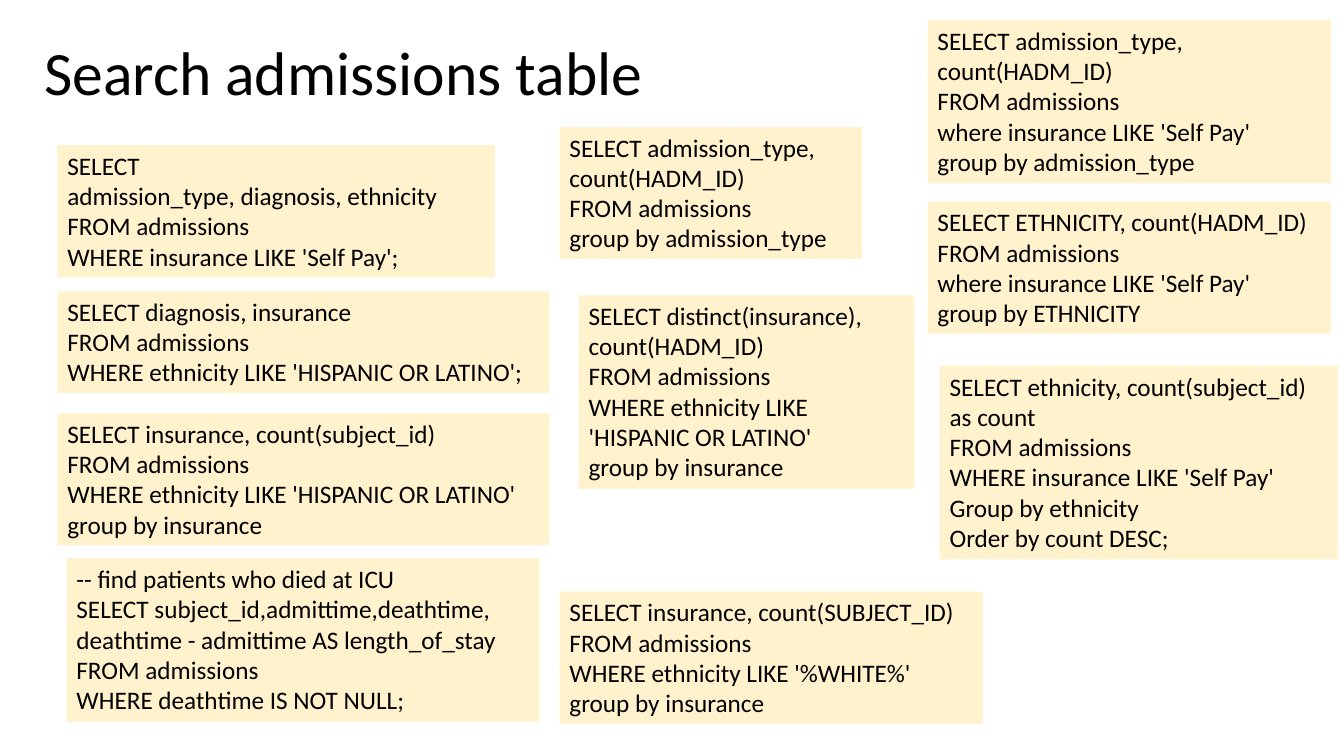
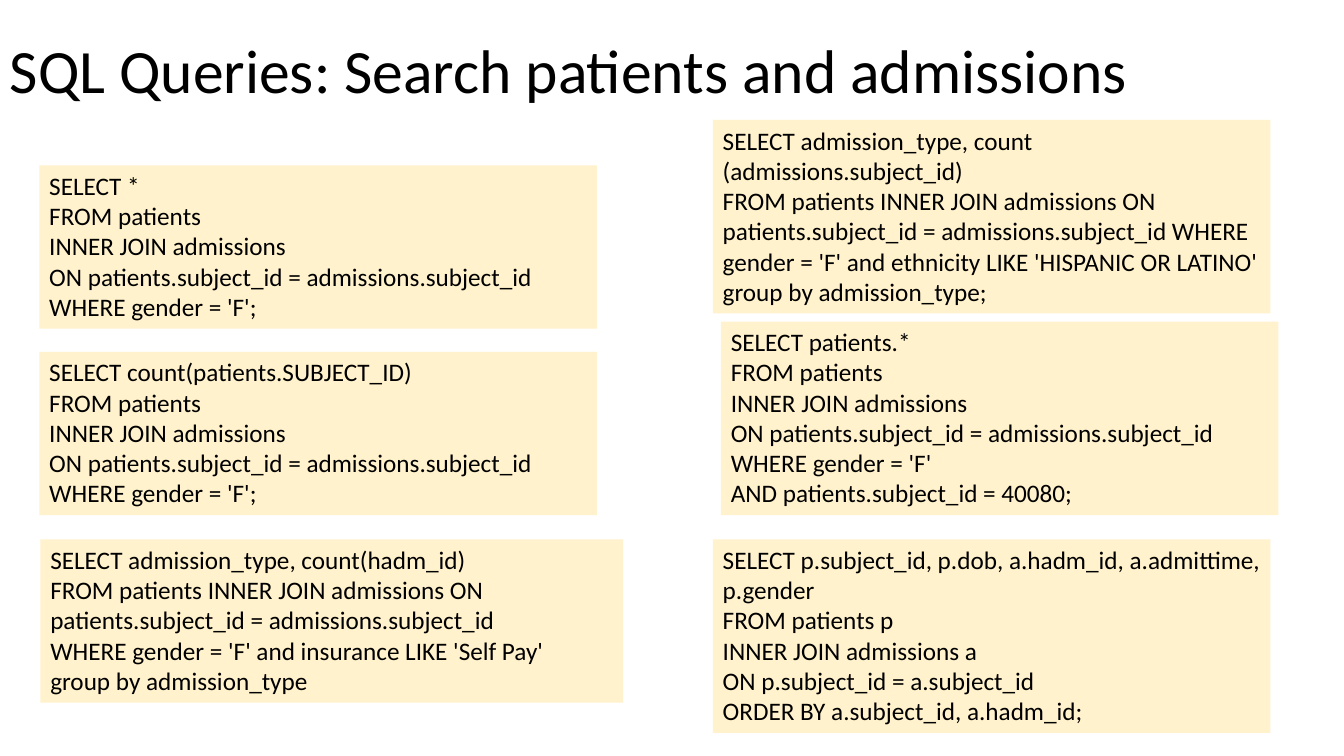
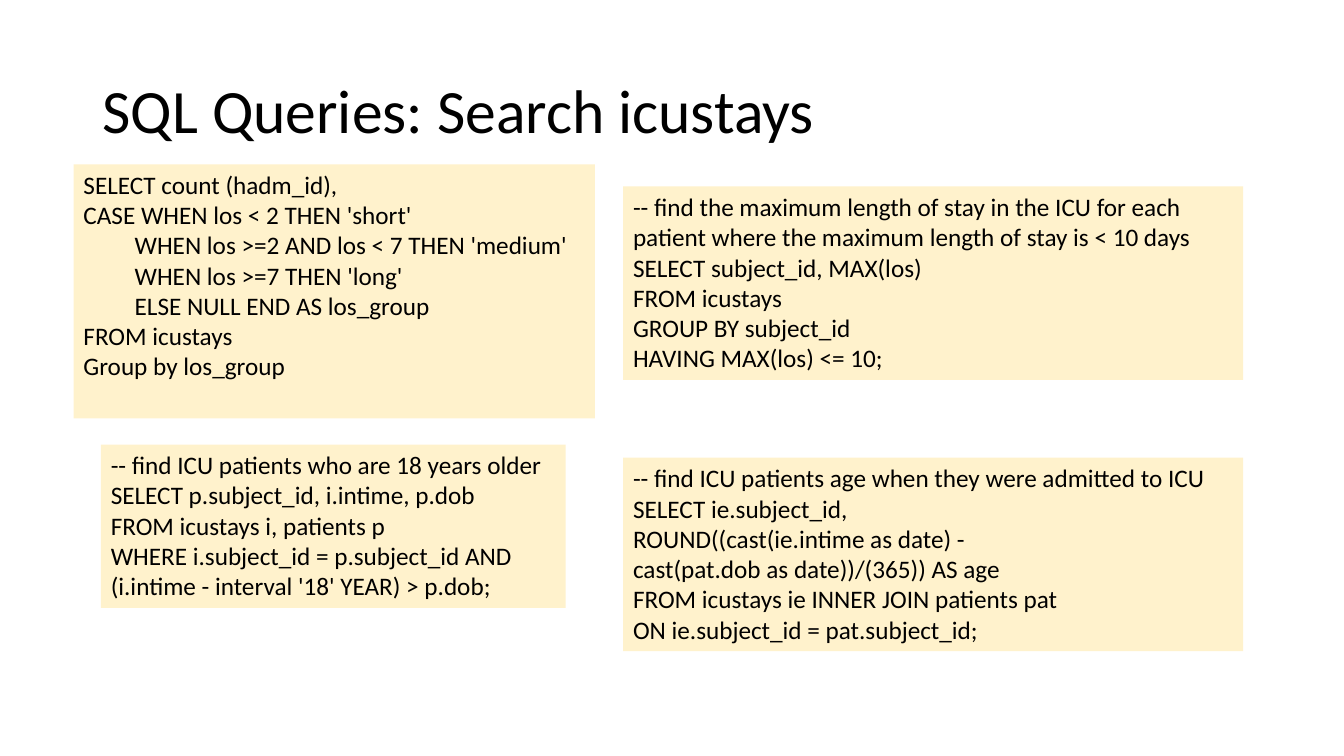
"""Build three slides of example SQL queries, each query in its own box."""
from pptx import Presentation
from pptx.dml.color import RGBColor
from pptx.enum.text import MSO_ANCHOR as ANCHOR
from pptx.util import Inches, Pt

FONT, INK, BOX_FILL = "Calibri", "000000", "FFF2CC"
TITLE_SIZE, CODE_SIZE = 44, 18


def rgb(value):
    return RGBColor.from_string(value)


def add_text(s, text, at, size):
    sp = s.shapes.add_textbox(*[Inches(v) for v in at])
    tf = sp.text_frame
    tf.word_wrap = True
    tf.text = text
    for p in tf.paragraphs:
        p.font.name = FONT
        p.font.size = Pt(size)
        p.font.color.rgb = rgb(INK)
    return sp


SLIDES = [
    ("Search admissions table", (0.34, 0.02), [
        ((0.57, 1.44, 4.34, 1.31), """SELECT
admission_type, diagnosis, ethnicity
FROM admissions
WHERE insurance LIKE 'Self Pay';"""),
        ((0.57, 2.89, 4.88, 1.01), """SELECT diagnosis, insurance
FROM admissions
WHERE ethnicity LIKE 'HISPANIC OR LATINO';"""),
        ((0.57, 4.1, 4.88, 1.31), """SELECT insurance, count(subject_id)
FROM admissions
WHERE ethnicity LIKE 'HISPANIC OR LATINO'
group by insurance"""),
        ((0.66, 5.54, 4.69, 1.62), """-- find patients who died at ICU
SELECT subject_id,admittime,deathtime, deathtime - admittime AS length_of_stay
FROM admissions
WHERE deathtime IS NOT NULL;"""),
        ((5.55, 1.26, 3, 1.31), """SELECT admission_type, count(HADM_ID)
FROM admissions
group by admission_type"""),
        ((5.74, 2.93, 3.33, 1.92), """SELECT distinct(insurance), count(HADM_ID)
FROM admissions
WHERE ethnicity LIKE 'HISPANIC OR LATINO'
group by insurance"""),
        ((5.55, 5.87, 4.2, 1.31), """SELECT insurance, count(SUBJECT_ID)
FROM admissions
WHERE ethnicity LIKE '%WHITE%'
group by insurance"""),
        ((9.2, 0.2, 4, 1.62), """SELECT admission_type, count(HADM_ID)
FROM admissions
where insurance LIKE 'Self Pay'
group by admission_type"""),
        ((9.2, 2, 4, 1.31), """SELECT ETHNICITY, count(HADM_ID)
FROM admissions
where insurance LIKE 'Self Pay'
group by ETHNICITY"""),
        ((9.32, 3.63, 3.95, 1.92), """SELECT ethnicity, count(subject_id) as count
FROM admissions
WHERE insurance LIKE 'Self Pay'
Group by ethnicity
Order by count DESC;"""),
    ]),
    ("SQL Queries: Search patients and admissions", (0, 0), [
        ((0.39, 1.64, 5.53, 1.62), """SELECT *
FROM patients
INNER JOIN admissions
ON patients.subject_id = admissions.subject_id
WHERE gender = 'F';"""),
        ((0.39, 3.49, 5.53, 1.62), """SELECT count(patients.SUBJECT_ID)
FROM patients
INNER JOIN admissions
ON patients.subject_id = admissions.subject_id
WHERE gender = 'F';"""),
        ((0.4, 5.35, 5.78, 1.62), """SELECT admission_type, count(hadm_id)
FROM patients INNER JOIN admissions ON patients.subject_id = admissions.subject_id
WHERE gender = 'F' and insurance LIKE 'Self Pay'
group by admission_type"""),
        ((7.07, 1.19, 5.53, 1.92), """SELECT admission_type, count (admissions.subject_id)
FROM patients INNER JOIN admissions ON patients.subject_id = admissions.subject_id \
WHERE gender = 'F' and ethnicity LIKE 'HISPANIC OR LATINO'
group by admission_type;"""),
        ((7.15, 3.19, 5.53, 1.92), """SELECT patients.*
FROM patients
INNER JOIN admissions
ON patients.subject_id = admissions.subject_id
WHERE gender = 'F'
AND patients.subject_id = 40080;"""),
        ((7.07, 5.35, 5.53, 1.92), """SELECT p.subject_id, p.dob, a.hadm_id, a.admittime, p.gender
FROM patients p
INNER JOIN admissions a
ON p.subject_id = a.subject_id
ORDER BY a.subject_id, a.hadm_id;"""),
    ]),
    ("SQL Queries: Search icustays", (0.92, 0.4), [
        ((0.73, 1.63, 5.17, 2.52), """SELECT count (hadm_id),
CASE WHEN los < 2 THEN 'short'
         WHEN los >=2 AND los < 7 THEN 'medium'
         WHEN los >=7 THEN 'long'
         ELSE NULL END AS los_group
FROM icustays
Group by los_group"""),
        ((1, 4.41, 4.61, 1.62), """-- find ICU patients who are 18 years older
SELECT p.subject_id, i.intime, p.dob
FROM icustays i, patients p
WHERE i.subject_id = p.subject_id AND (i.intime - interval '18' YEAR) > p.dob;"""),
        ((6.18, 1.85, 6.15, 1.92), """-- find the maximum length of stay in the ICU for each \
patient where the maximum length of stay is < 10 days
SELECT subject_id, MAX(los)
FROM icustays
GROUP BY subject_id
HAVING MAX(los) <= 10;"""),
        ((6.18, 4.54, 6.15, 1.92), """-- find ICU patients age when they were admitted to ICU
SELECT ie.subject_id,
ROUND((cast(ie.intime as date) -
cast(pat.dob as date))/(365)) AS age
FROM icustays ie INNER JOIN patients pat
ON ie.subject_id = pat.subject_id;"""),
    ]),
]

prs = Presentation()
prs.slide_width, prs.slide_height = Inches(13.33), Inches(7.5)

for title, (left, top), queries in SLIDES:
    s = prs.slides.add_slide(prs.slide_layouts[6])
    heading = add_text(s, title, (left, top, 11.5, 1.45), TITLE_SIZE)
    heading.text_frame.vertical_anchor = ANCHOR.MIDDLE
    heading.text_frame.paragraphs[0].line_spacing = 0.9
    for at, query in queries:
        box = add_text(s, query, at, CODE_SIZE)
        box.fill.solid()
        box.fill.fore_color.rgb = rgb(BOX_FILL)

prs.save("out.pptx")
